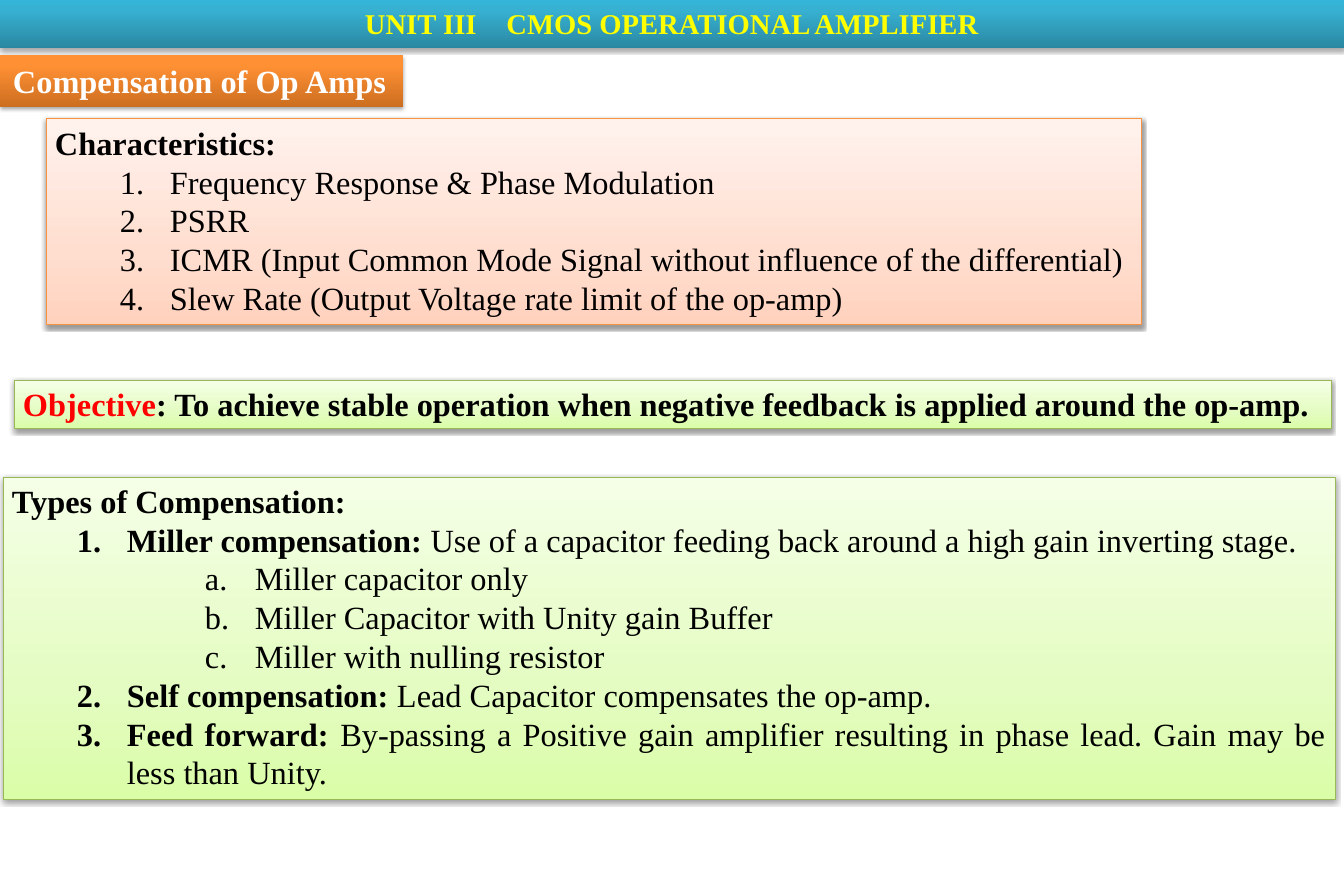
from lxml.etree import SubElement
from pptx import Presentation
from pptx.dml.color import RGBColor
from pptx.enum.shapes import MSO_SHAPE
from pptx.enum.text import MSO_ANCHOR, PP_ALIGN
from pptx.oxml.ns import qn
from pptx.util import Pt

PX = 914400 / 89.6  # EMU per pixel
FONT = "Times New Roman"

BLACK = RGBColor(0x00, 0x00, 0x00)
WHITE = RGBColor(0xFF, 0xFF, 0xFF)
YELLOW = RGBColor(0xFF, 0xFF, 0x00)
RED = RGBColor(0xFF, 0x00, 0x00)
ORANGE_EDGE = RGBColor(0xF6, 0x92, 0x40)
GREEN_EDGE = RGBColor(0x98, 0xB9, 0x55)

# Gradients run from bottom to top: (position in percent, colour)
TEAL = [(0, RGBColor(0x2A, 0x88, 0xA2)), (80, RGBColor(0x37, 0xB1, 0xD2)),
        (100, RGBColor(0x34, 0xB4, 0xD6))]
ORANGE = [(0, RGBColor(0xCC, 0x6E, 0x20)), (80, RGBColor(0xFF, 0x90, 0x34)),
          (100, RGBColor(0xFF, 0x91, 0x36))]
PEACH = [(0, RGBColor(0xFF, 0xD2, 0xBD)), (35, RGBColor(0xFF, 0xDE, 0xD0)),
         (100, RGBColor(0xFF, 0xF2, 0xED))]
GREEN = [(0, RGBColor(0xDA, 0xFD, 0xA7)), (35, RGBColor(0xE4, 0xFC, 0xC2)),
         (100, RGBColor(0xF5, 0xFF, 0xE7))]

CHARACTERISTICS = [
    "Frequency Response & Phase Modulation",
    "PSRR",
    "ICMR (Input Common Mode Signal without influence of the differential)",
    "Slew Rate (Output Voltage rate limit of the op-amp)",
]
COMPENSATIONS = [
    ("Miller compensation: ",
     "Use of a capacitor feeding back around a high gain inverting stage.",
     ["Miller capacitor only", "Miller Capacitor with Unity gain Buffer",
      "Miller with nulling resistor"]),
    ("Self compensation: ", "Lead Capacitor compensates the op-amp.", []),
    ("Feed forward: ",
     "By-passing a Positive gain amplifier resulting in phase lead. "
     "Gain may be less than Unity.", []),
]


def px(length):
    return round(length * PX)


def add_shadow(shape, alpha, distance):
    shape.shadow.inherit = False
    effects = shape._element.spPr.find(qn("a:effectLst"))
    shadow = SubElement(effects, qn("a:outerShdw"), blurRad=str(Pt(3.1)),
                        dist=str(Pt(distance)), dir="5400000", rotWithShape="0")
    color = SubElement(shadow, qn("a:srgbClr"), val=str(BLACK))
    SubElement(color, qn("a:alpha"), val=str(alpha * 1000))


def add_panel(slide, box, gradient, edge=None, inset=(9, 4)):
    """Add a shaded rectangle and return its empty text frame."""
    panel = slide.shapes.add_shape(MSO_SHAPE.RECTANGLE, *map(px, box))
    panel.fill.gradient()
    panel.fill.gradient_angle = 90
    stops = panel._element.spPr.find(".//" + qn("a:gsLst"))
    stops.clear()
    for position, color in gradient:
        stop = SubElement(stops, qn("a:gs"), pos=str(position * 1000))
        SubElement(stop, qn("a:srgbClr"), val=str(color))
    if edge is None:
        panel.line.fill.background()
        add_shadow(panel, 35, 1.8)
    else:
        panel.line.color.rgb = edge
        panel.line.width = Pt(0.75)
        add_shadow(panel, 38, 1.6)
    frame = panel.text_frame
    frame.word_wrap = True
    frame.vertical_anchor = MSO_ANCHOR.TOP
    frame.margin_left = frame.margin_right = px(inset[0])
    frame.margin_top = frame.margin_bottom = px(inset[1])
    return frame


def write(paragraph, text, color=BLACK, size=26, bold=True, align=PP_ALIGN.LEFT):
    paragraph.alignment = align
    font = paragraph.font
    font.name, font.size, font.bold = FONT, Pt(size), bold
    font.color.rgb = color
    run = paragraph.add_run()
    run.text = text
    return run


def add_item(frame, text, level=1, scheme="arabicPeriod", start=1, bold=False):
    """Add a numbered paragraph; level 3 is a lettered sub-item."""
    paragraph = frame.add_paragraph()
    paragraph.level = level
    properties = paragraph._p.get_or_add_pPr()
    properties.set("marL", str(px(115 if level == 1 else 243)))
    properties.set("indent", str(px(-50)))
    numbering = SubElement(properties, qn("a:buAutoNum"), type=scheme)
    if start > 1:
        numbering.set("startAt", str(start))
    write(paragraph, text, bold=bold, align=PP_ALIGN.JUSTIFY)
    return paragraph


def add_heading(slide, box):
    frame = add_panel(slide, box, ORANGE, inset=(13, 6))
    write(frame.paragraphs[0], "Compensation of Op Amps", WHITE)


def add_unit_banner(slide, box):
    frame = add_panel(slide, box, TEAL, inset=(13, 6))
    write(frame.paragraphs[0], "UNIT III\t CMOS OPERATIONAL AMPLIFIER", YELLOW,
          size=23, align=PP_ALIGN.CENTER)


def add_characteristics(slide, box):
    frame = add_panel(slide, box, PEACH, ORANGE_EDGE)
    write(frame.paragraphs[0], "Characteristics:", align=PP_ALIGN.JUSTIFY)
    for characteristic in CHARACTERISTICS:
        add_item(frame, characteristic)


def add_objective(slide, box):
    objective = add_panel(slide, box, GREEN, GREEN_EDGE).paragraphs[0]
    write(objective, "Objective").font.color.rgb = RED
    objective.add_run().text = (": To achieve stable operation when negative "
                                "feedback is applied around the op-amp.")


def add_compensation_types(slide, box):
    frame = add_panel(slide, box, GREEN, GREEN_EDGE)
    write(frame.paragraphs[0], "Types of Compensation:", align=PP_ALIGN.JUSTIFY)
    for index, (name, description, variants) in enumerate(COMPENSATIONS):
        item = add_item(frame, name, start=min(index + 1, 2), bold=True)
        detail = item.add_run()
        detail.text = description
        detail.font.bold = False
        for variant in variants:
            add_item(frame, variant, level=3, scheme="alphaLcPeriod")


def main():
    presentation = Presentation()
    presentation.slide_width, presentation.slide_height = px(1344), px(896)
    slide = presentation.slides.add_slide(presentation.slide_layouts[6])
    add_heading(slide, (0, 55, 403, 52))
    add_unit_banner(slide, (0, 0, 1344, 48))
    add_characteristics(slide, (46, 119, 1096, 206))
    add_objective(slide, (14, 380, 1317, 49))
    add_compensation_types(slide, (3, 477, 1333, 323))
    presentation.save("out.pptx")


if __name__ == "__main__":
    main()
